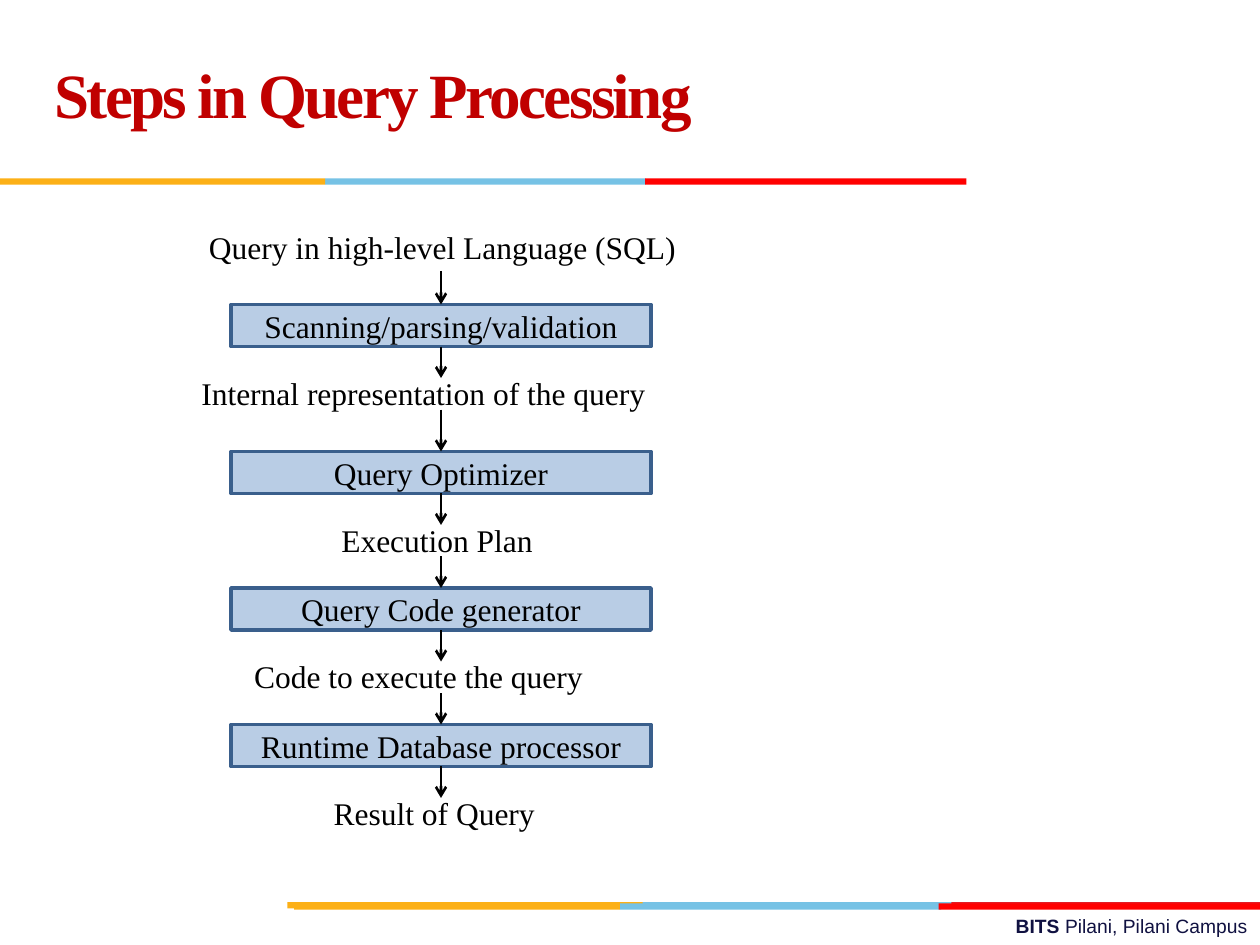
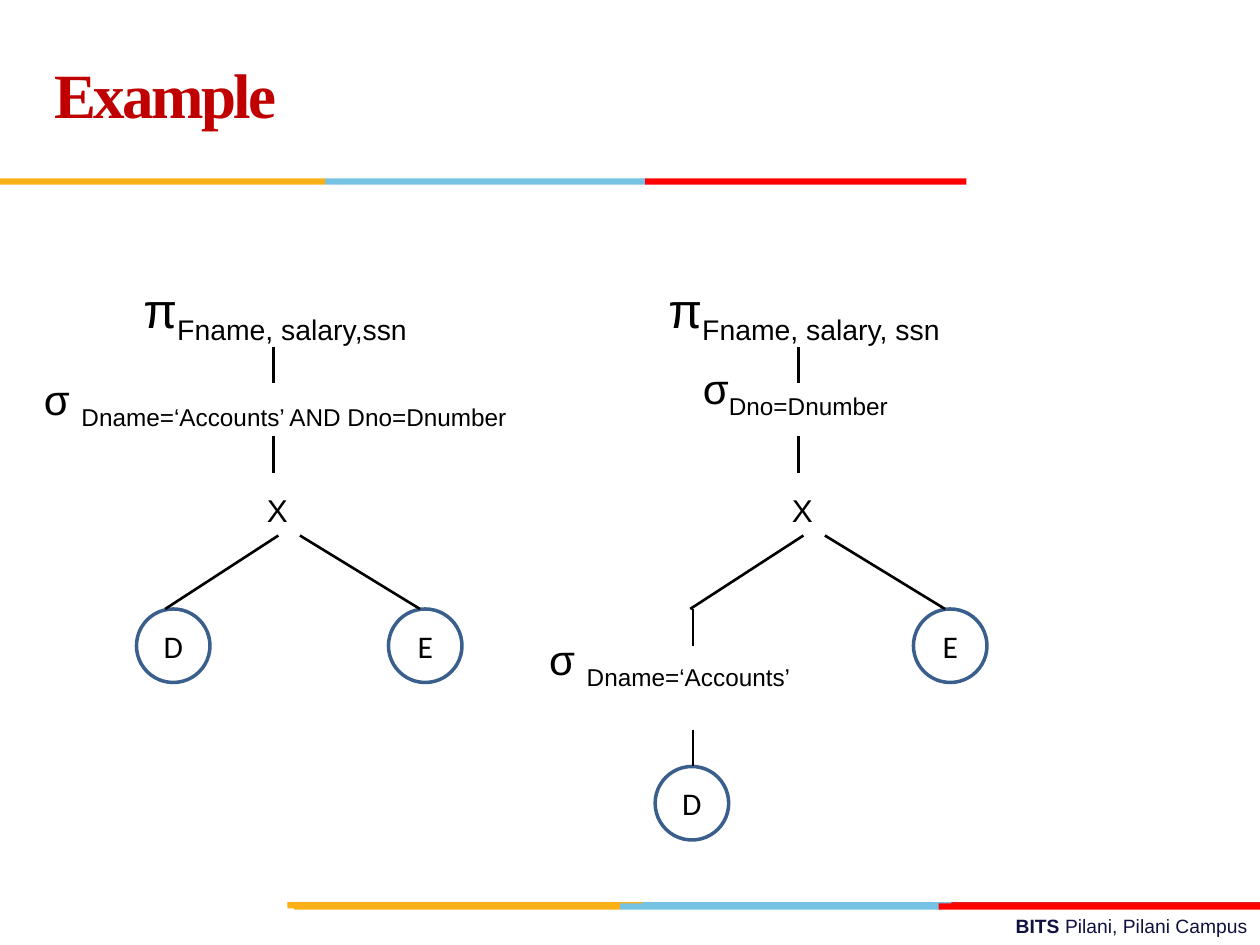
"""Builds two slides on query processing: a flow of steps and a pair of query trees."""
import pptx
import pptx.dml.color
import pptx.enum.shapes
import pptx.enum.text
import pptx.oxml.ns
import pptx.util
from lxml import etree

Pt = pptx.util.Pt
SHAPES = pptx.enum.shapes.MSO_SHAPE
ALIGN = pptx.enum.text.PP_ALIGN
ANCHOR = pptx.enum.text.MSO_ANCHOR

GOLD, SKY, RED, CRIMSON = "FCB017", "76C2E5", "FF0000", "E31C24"
TITLE_RED, NAVY, BLACK, WHITE = "C00000", "101141", "000000", "FFFFFF"
OUTLINE, STEP_FILL = "3A5F8C", "B9CDE5"
SERIF, SANS, CIRCLE_FONT = "Times New Roman", "Arial", "Calibri"

BAND_HEIGHT = 3.6
BANDS = [
    (515.5, [(364.3, 183.6, SKY), (543.6, 176.4, CRIMSON), (164.2, 203, GOLD)]),
    (516.2, [(354.2, 183.6, SKY), (168, 186.2, GOLD), (536.4, 183.6, RED)]),
    (102, [(185.8, 183.2, SKY), (0, 185.8, GOLD), (368.6, 183.6, RED)]),
]
FOOTER = [("BITS ", {"bold": True}), ("Pilani, Pilani Campus", {})]

STEP_LEFT, STEP_WIDTH, STEP_HEIGHT = 132, 240, 24
FLOW_X = STEP_LEFT + STEP_WIDTH / 2
QUERY = ("Query in high-level Language (SQL)", 112.3, 126.7, 284.4)
STEPS = [
    {"name": "Scanning/parsing/validation", "top": 174, "arrow": 19.2,
     "output": "Internal representation of the query", "left": 108, "width": 270.7},
    {"name": "Query Optimizer", "top": 258, "arrow": 24,
     "output": "Execution Plan", "left": 188, "width": 125.3},
    {"name": "Query Code generator", "top": 336, "arrow": 18,
     "output": "Code to execute the query", "left": 138.2, "width": 204.5},
    {"name": "Runtime Database processor", "top": 414, "arrow": 18,
     "output": "Result of Query", "left": 183.6, "width": 130.3},
]

TREE_GAP, CIRCLE_SIZE = 300, 42
TREE_LINES = [
    (156.2, 198, 156.2, 219),
    (156.2, 249, 156.2, 270),
    (171.4, 306, 240, 348),
    (159.1, 306, 94.4, 348),
]
TREES = [
    {"projection": ("Fname, salary,ssn", 186.5), "leaf": (78, 348), "lines": [],
     "selections": [("σ ", "Dname=‘Accounts’ AND Dno=Dnumber", 18, 210, 318)]},
    {"projection": ("Fname, salary, ssn", 191.5), "leaf": (374.4, 438),
     "lines": [(396, 348, 396, 369), (396, 417, 396, 438)],
     "selections": [("σ", "Dno=Dnumber", 394.6, 203.8, 135.4),
                    ("σ ", "Dname=‘Accounts’", 306.7, 358.6, 179.3)]},
]


def color(hex_text):
    return pptx.dml.color.RGBColor.from_string(hex_text)


def write(box, text, size=18, font=SERIF, ink=BLACK, bold=False, align=ALIGN.LEFT,
          anchor=ANCHOR.TOP, wrap=True, spacing=None, tracking=None):
    frame = box.text_frame
    frame.word_wrap = wrap
    frame.vertical_anchor = anchor
    para = frame.paragraphs[0]
    para.alignment = align
    if spacing:
        para.line_spacing = Pt(spacing)
    for words, changes in [(text, {})] if isinstance(text, str) else text:
        span = para.add_run()
        span.text = words
        span.font.size = Pt(size)
        span.font.name = font
        span.font.bold = changes.get("bold", bold)
        span.font.color.rgb = color(ink)
        properties = span._r.get_or_add_rPr()
        if tracking:
            properties.set("spc", str(round(tracking * 100)))
        if "baseline" in changes:
            properties.set("baseline", str(changes["baseline"] * 1000))


def add_label(page, text, left, top, width, height=29, **style):
    box = page.shapes.add_textbox(Pt(left), Pt(top), Pt(width), Pt(height))
    write(box, text, **style)


def add_block(page, kind, left, top, width, height, fill, text=None, **style):
    block = page.shapes.add_shape(kind, Pt(left), Pt(top), Pt(width), Pt(height))
    block.shadow.inherit = False
    block.fill.solid()
    block.fill.fore_color.rgb = color(fill)
    if text is None:
        block.line.fill.background()
        return
    block.line.color.rgb = color(OUTLINE)
    block.line.width = Pt(2)
    write(block, text, align=ALIGN.CENTER, anchor=ANCHOR.MIDDLE, **style)


def add_line(page, x1, y1, x2, y2, arrow=False):
    line = page.shapes.add_connector(
        pptx.enum.shapes.MSO_CONNECTOR.STRAIGHT, Pt(x1), Pt(y1), Pt(x2), Pt(y2))
    line.line.color.rgb = color(BLACK)
    line.line.width = Pt(1.5)
    if arrow:
        tail = etree.SubElement(line.line._get_or_add_ln(), pptx.oxml.ns.qn("a:tailEnd"))
        tail.set("type", "arrow")
    etree.SubElement(line._element.spPr, pptx.oxml.ns.qn("a:effectLst"))


def add_page(deck, title):
    page = deck.slides.add_slide(deck.slide_layouts[6])
    add_label(page, FOOTER, 258, 519, 462, 21, size=11, font=SANS, ink=NAVY,
              align=ALIGN.RIGHT)
    for top, bands in BANDS:
        for left, width, fill in bands:
            add_block(page, SHAPES.RECTANGLE, left, top, width, BAND_HEIGHT, fill)
    add_label(page, title, 24, 12, 498, 90, size=36, ink=TITLE_RED, bold=True,
              anchor=ANCHOR.MIDDLE, spacing=36, tracking=-1.5)
    return page


def add_steps(page):
    add_label(page, *QUERY, wrap=False)
    for step in STEPS:
        top = step["top"]
        bottom = top + STEP_HEIGHT
        add_block(page, SHAPES.RECTANGLE, STEP_LEFT, top, STEP_WIDTH, STEP_HEIGHT,
                  STEP_FILL, step["name"])
        add_line(page, FLOW_X, top - step["arrow"], FLOW_X, top, arrow=True)
        add_label(page, step["output"], step["left"], bottom + 12, step["width"], wrap=False)
        add_line(page, FLOW_X, bottom, FLOW_X, bottom + 18, arrow=True)


def add_operator(page, symbol, condition, left, top, width, size):
    text = [(symbol, {}), (condition, {"baseline": -25})]
    add_label(page, text, left, top, width, size + 13, size=size, font=SANS, wrap=False)


def add_tree(page, tree, shift):
    for name, left, top in [("D", *tree["leaf"]), ("E", 222 + shift, 348)]:
        add_block(page, SHAPES.OVAL, left, top, CIRCLE_SIZE, CIRCLE_SIZE, WHITE, name,
                  font=CIRCLE_FONT)
    for x1, y1, x2, y2 in TREE_LINES:
        add_line(page, x1 + shift, y1, x2 + shift, y2)
    for ends in tree["lines"]:
        add_line(page, *ends)
    add_label(page, "X", 145.5 + shift, 277.2, 26.6, font=SANS, wrap=False)
    condition, width = tree["projection"]
    add_operator(page, "π", condition, 74.9 + shift, 156.2, width, size=28)
    for selection in tree["selections"]:
        add_operator(page, *selection, size=24)


def main():
    deck = pptx.Presentation()
    deck.slide_width, deck.slide_height = Pt(720), Pt(540)
    add_steps(add_page(deck, "Steps in Query Processing"))
    example = add_page(deck, "Example")
    for index, tree in enumerate(TREES):
        add_tree(example, tree, index * TREE_GAP)
    deck.save("out.pptx")


if __name__ == "__main__":
    main()
